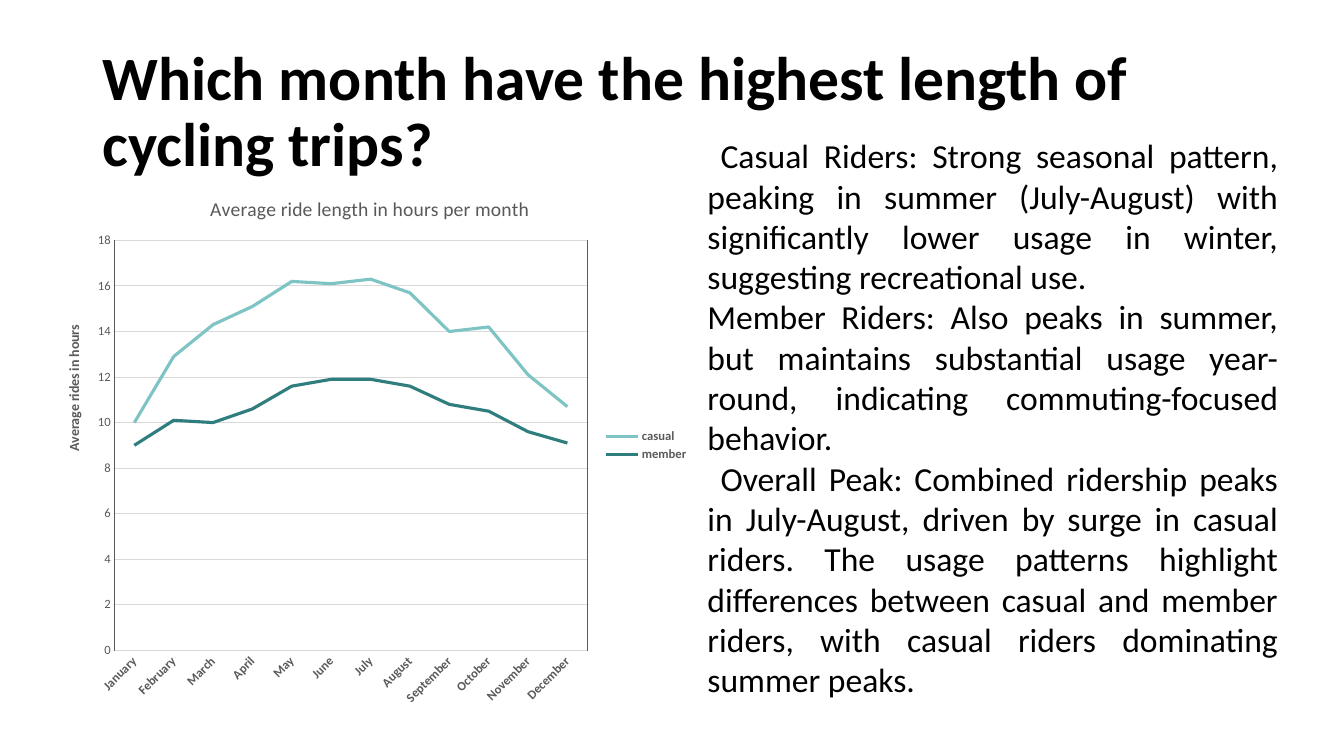
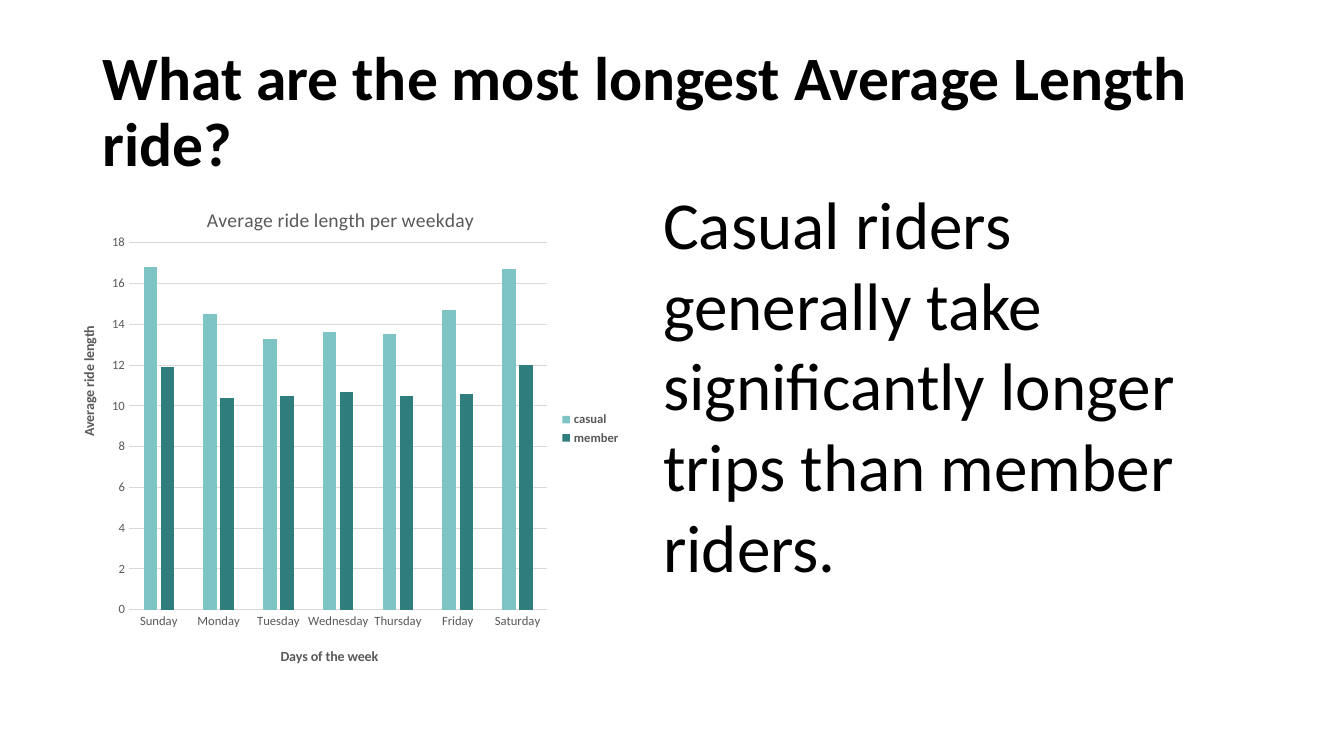
import pptx
import pptx.chart.data
import pptx.dml.color
import pptx.enum.chart
import pptx.enum.text
import pptx.oxml
import pptx.oxml.ns
import pptx.util
from lxml import etree

Cm, Pt = pptx.util.Cm, pptx.util.Pt
qn = pptx.oxml.ns.qn
ChartType = pptx.enum.chart.XL_CHART_TYPE
FONT = "Calibri"
BLACK, GREY, GRID = "000000", "595959", "D9D9D9"
SERIES_COLORS = {"casual": "7FC4C4", "member": "307D7E"}
TITLE_BOX = (2.33, 1.02, 29.21, 3.68)


def rgb(value):
    """Turn a hex string into a colour."""
    return pptx.dml.color.RGBColor.from_string(value)


def style(font, size, color, bold=False):
    """Apply typeface, size, colour and weight to a font."""
    font.name, font.size, font.bold = FONT, Pt(size), bold
    font.color.rgb = rgb(color)


def add_text(slide, box, paragraphs, size, bold=False, align=None,
             anchor=pptx.enum.text.MSO_ANCHOR.TOP, spacing=None, indents=()):
    """Place a wrapped text box with one style throughout."""
    tf = slide.shapes.add_textbox(*map(Cm, box)).text_frame
    tf.word_wrap, tf.vertical_anchor = True, anchor
    tf.text = "\n".join(paragraphs)
    for p in tf.paragraphs:
        p.alignment, p.line_spacing = align, spacing
        for r in p.runs:
            style(r.font, size, BLACK, bold)
    for index in indents:
        tf.paragraphs[index]._p.get_or_add_pPr().set("indent", str(Cm(0.33)))


def add_title(slide, text):
    """Place the slide title."""
    add_text(slide, TITLE_BOX, [text], 44, bold=True, spacing=0.9,
             anchor=pptx.enum.text.MSO_ANCHOR.MIDDLE)


def set_layout(element, index, inner=False, **fractions):
    """Give a chart part a fixed place, in fractions of the chart."""
    for old in element.findall(qn("c:layout")):
        element.remove(old)
    layout = etree.Element(qn("c:layout"))
    manual = etree.SubElement(layout, qn("c:manualLayout"))
    if inner:
        etree.SubElement(manual, qn("c:layoutTarget")).set("val", "inner")
    for key in ("x", "y"):
        etree.SubElement(manual, qn(f"c:{key}Mode")).set("val", "edge")
    for key, value in fractions.items():
        etree.SubElement(manual, qn(f"c:{key}")).set("val", str(value))
    element.insert(index, layout)


def set_chart_title(title, text, x, y, size, bold=False, rotation=0):
    """Write and place the title of a chart or axis."""
    tf = title.text_frame
    tf.text = text
    tf._txBody.find(qn("a:bodyPr")).set("rot", str(rotation))
    style(tf.paragraphs[0].runs[0].font, size, GREY, bold)
    set_layout(title._element, 1, x=x, y=y)


def style_axis(axis, bold=False):
    """Set the tick marks and labels of an axis."""
    axis.major_tick_mark = axis.minor_tick_mark = pptx.enum.chart.XL_TICK_MARK.NONE
    style(axis.tick_labels.font, 9, GREY, bold)


def add_ride_chart(slide, box, kind, categories, values, title, value_title,
                   plot, legend, bold_categories=False):
    """Place a chart comparing casual and member rides."""
    data = pptx.chart.data.CategoryChartData()
    data.categories = categories
    for name, numbers in zip(SERIES_COLORS, values):
        data.add_series(name, numbers)
    chart = slide.shapes.add_chart(kind, *map(Cm, box), data).chart
    style(chart.font, 10, BLACK)

    chart.has_title = True
    set_chart_title(chart.chart_title, *title, size=14)
    chart.has_legend = True
    chart.legend.position = pptx.enum.chart.XL_LEGEND_POSITION.RIGHT
    chart.legend.include_in_layout = False
    style(chart.legend.font, 9, GREY, True)
    set_layout(chart.legend._element, 1, **legend)
    set_layout(chart._chartSpace.chart.plotArea, 0, inner=True, **plot)

    style_axis(chart.category_axis, bold_categories)
    line = chart.category_axis.format.line
    line.color.rgb, line.width = rgb(GRID), Pt(0.75)
    axis = chart.value_axis
    style_axis(axis)
    axis.minimum_scale, axis.maximum_scale, axis.major_unit = 0, 18, 2
    axis.format.line.fill.background()
    axis.has_major_gridlines = True
    line = axis.major_gridlines.format.line
    line.color.rgb, line.width = rgb(GRID), Pt(0.75)
    set_chart_title(axis.axis_title, *value_title, size=10, bold=True,
                    rotation=-5400000)
    chart.plots[0].vary_by_categories = False
    return chart


def color_lines(chart):
    """Draw the series as plain coloured lines in a framed plot."""
    for series in chart.plots[0].series:
        series.smooth = False
        line = series.format.line
        line.color.rgb, line.width = rgb(SERIES_COLORS[series.name]), Pt(2.25)
    labels = chart.category_axis._element.find(qn("c:txPr"))
    labels.find(qn("a:bodyPr")).set("rot", "-2700000")
    frame = pptx.oxml.parse_xml(
        f'<c:spPr {pptx.oxml.ns.nsdecls("c", "a")}><a:noFill/><a:ln w="9525">'
        f'<a:solidFill><a:srgbClr val="{GREY}"/></a:solidFill></a:ln></c:spPr>')
    chart._chartSpace.chart.plotArea.append(frame)


def color_columns(chart):
    """Draw the series as coloured columns."""
    plot = chart.plots[0]
    plot.gap_width, plot.overlap = 219, -27
    for series in plot.series:
        series.format.fill.solid()
        series.format.fill.fore_color.rgb = rgb(SERIES_COLORS[series.name])


def month_slide(slide):
    """Build the slide on ride length by month."""
    add_title(slide, "Which month have the highest length of cycling trips?")
    chart = add_ride_chart(
        slide, (1.07, 4.27, 16.54, 13.77), ChartType.LINE,
        ["January", "February", "March", "April", "May", "June", "July",
         "August", "September", "October", "November", "December"],
        [(10, 12.9, 14.3, 15.1, 16.2, 16.1, 16.3, 15.7, 14, 14.2, 12.1, 10.7),
         (9, 10.1, 10, 10.6, 11.6, 11.9, 11.9, 11.6, 10.8, 10.5, 9.6, 9.1)],
        ("Average ride length in hours per month", 0.25, 0.04),
        ("Average rides in hours", 0.03, 0.28),
        plot=dict(x=0.11, y=0.13, w=0.72, h=0.75),
        legend=dict(x=0.85, y=0.47, w=0.14, h=0.07), bold_categories=True)
    color_lines(chart)
    add_text(slide, (17.58, 3.28, 14.88, 14.63), [
        "Casual Riders: Strong seasonal pattern, peaking in summer (July-August) "
        "with significantly lower usage in winter, suggesting recreational use.",
        "Member Riders: Also peaks in summer, but maintains substantial usage "
        "year-round, indicating commuting-focused behavior.",
        "Overall Peak: Combined ridership peaks in July-August, driven by surge "
        "in casual riders. The usage patterns highlight differences between "
        "casual and member riders, with casual riders dominating summer peaks.",
    ], 24, align=pptx.enum.text.PP_ALIGN.JUSTIFY, indents=(0, 2))


def weekday_slide(slide):
    """Build the slide on ride length by weekday."""
    add_title(slide, "What are the most longest Average Length ride?")
    chart = add_ride_chart(
        slide, (1.37, 4.47, 14.45, 12.67), ChartType.COLUMN_CLUSTERED,
        ["Sunday", "Monday", "Tuesday", "Wednesday", "Thursday", "Friday",
         "Saturday"],
        [(16.8, 14.5, 13.3, 13.6, 13.5, 14.7, 16.7),
         (11.9, 10.4, 10.5, 10.7, 10.5, 10.6, 12)],
        ("Average ride length per weekday", 0.26, 0.05),
        ("Average ride length", 0.04, 0.29),
        plot=dict(x=0.13, y=0.13, w=0.73, h=0.73),
        legend=dict(x=0.87, y=0.46, w=0.13, h=0.08))
    set_chart_title(chart.category_axis.axis_title, "Days of the week",
                    0.39, 0.93, size=10, bold=True)
    color_columns(chart)
    add_text(slide, (16.46, 4.47, 14.86, 10.52), [
        "Casual riders generally take significantly longer trips than member "
        "riders."], 48)


def main():
    """Build and save the presentation."""
    prs = pptx.Presentation()
    prs.slide_width, prs.slide_height = Cm(33.87), Cm(19.05)
    for build in (month_slide, weekday_slide):
        build(prs.slides.add_slide(prs.slide_layouts[6]))
    prs.save("out.pptx")


if __name__ == "__main__":
    main()
